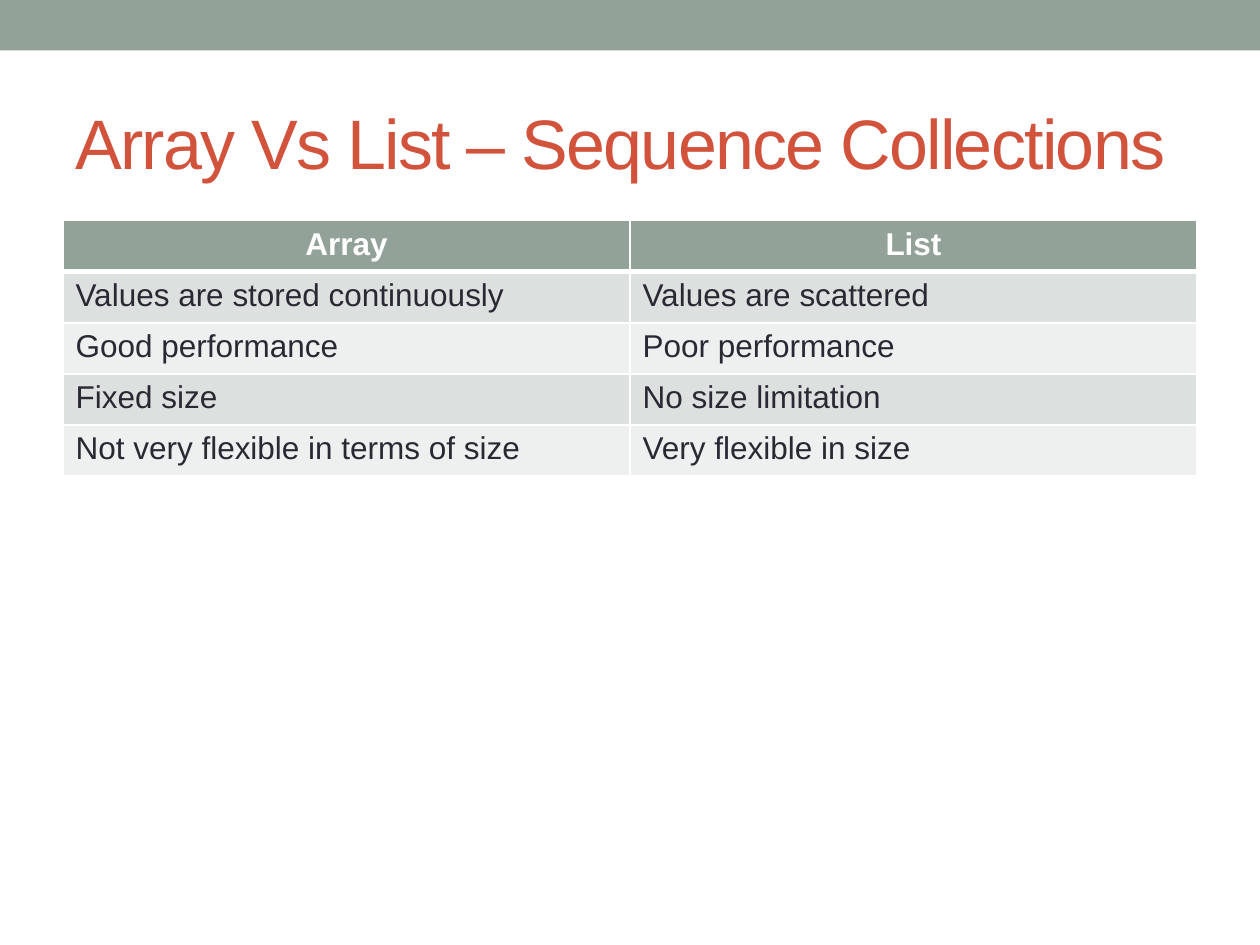
import pptx
import pptx.util
import pptx.dml.color
import pptx.enum.shapes
import pptx.enum.text
import pptx.oxml
import pptx.oxml.ns

WIDTH, HEIGHT = 10, 7.5
MARGIN = 0.5
SAGE, RUST, INK, WHITE = "93A299", "D2533C", "292934", "FFFFFF"
BANDS = ("DCE0DE", "EEF0EF")
ROWS = [
    ("Array", "List"),
    ("Values are stored continuously", "Values are scattered"),
    ("Good performance", "Poor performance"),
    ("Fixed size", "No size limitation"),
    ("Not very flexible in terms of size", "Very flexible in size"),
]


def color(value):
    """Turn a hex string into a colour."""
    return pptx.dml.color.RGBColor.from_string(value)


def inches(*lengths):
    """Turn numbers into lengths in inches."""
    return [pptx.util.Inches(length) for length in lengths]


def write(frame, text, ink, align, **formats):
    """Put one formatted span into a text frame."""
    para = frame.paragraphs[0]
    para.alignment = align
    span = para.add_run()
    span.text = text
    span.font.color.rgb = color(ink)
    for name, value in {"name": "Arial", **formats}.items():
        setattr(span.font, name, value)
    return span


def add_band(page):
    """Draw the plain bar along the top edge."""
    band = page.shapes.add_shape(
        pptx.enum.shapes.MSO_SHAPE.RECTANGLE, *inches(0, 0, WIDTH, 0.4))
    band.shadow.inherit = False
    band.fill.solid()
    band.fill.fore_color.rgb = color(SAGE)
    band.line.fill.background()


def add_title(page, text):
    """Add the tightly spaced title."""
    box = page.shapes.add_textbox(*inches(MARGIN, 0.58, WIDTH - 2 * MARGIN, 1.08))
    box.text_frame.word_wrap = True
    box.text_frame.vertical_anchor = pptx.enum.text.MSO_ANCHOR.MIDDLE
    span = write(box.text_frame, text, RUST, pptx.enum.text.PP_ALIGN.LEFT,
                 size=pptx.util.Pt(40))
    span.font._element.set("spc", "-100")


def set_borders(cell, widths):
    """Give a cell white borders, with widths in points by side."""
    namespace = pptx.oxml.ns.nsdecls("a")
    for index, (side, width) in enumerate(widths.items()):
        line = pptx.oxml.parse_xml(
            f'<a:ln{side} {namespace} w="{pptx.util.Pt(width)}"><a:solidFill>'
            f'<a:srgbClr val="{WHITE}"/></a:solidFill></a:ln{side}>')
        cell._tc.get_or_add_tcPr().insert(index, line)


def add_comparison(page, rows):
    """Add the table with a header row and banded body rows."""
    table = page.shapes.add_table(
        len(rows), len(rows[0]),
        *inches(MARGIN, 1.75, WIDTH - 2 * MARGIN, 2.03)).table
    aligns = pptx.enum.text.PP_ALIGN
    for row, texts in enumerate(rows):
        header = row == 0
        for column, text in enumerate(texts):
            cell = table.cell(row, column)
            cell.fill.solid()
            cell.fill.fore_color.rgb = color(SAGE if header else BANDS[(row - 1) % 2])
            write(cell.text_frame, text, WHITE if header else INK,
                  aligns.CENTER if header else aligns.LEFT,
                  size=pptx.util.Pt(18), bold=header)
            set_borders(cell, {"L": 1, "R": 1, "T": 3 if row == 1 else 1,
                               "B": 3 if header else 1})


def main():
    """Build and save the slide."""
    deck = pptx.Presentation()
    deck.slide_width, deck.slide_height = inches(WIDTH, HEIGHT)
    page = deck.slides.add_slide(deck.slide_layouts[6])
    add_band(page)
    add_title(page, "Array Vs List – Sequence Collections")
    add_comparison(page, ROWS)
    deck.save("out.pptx")


main()
